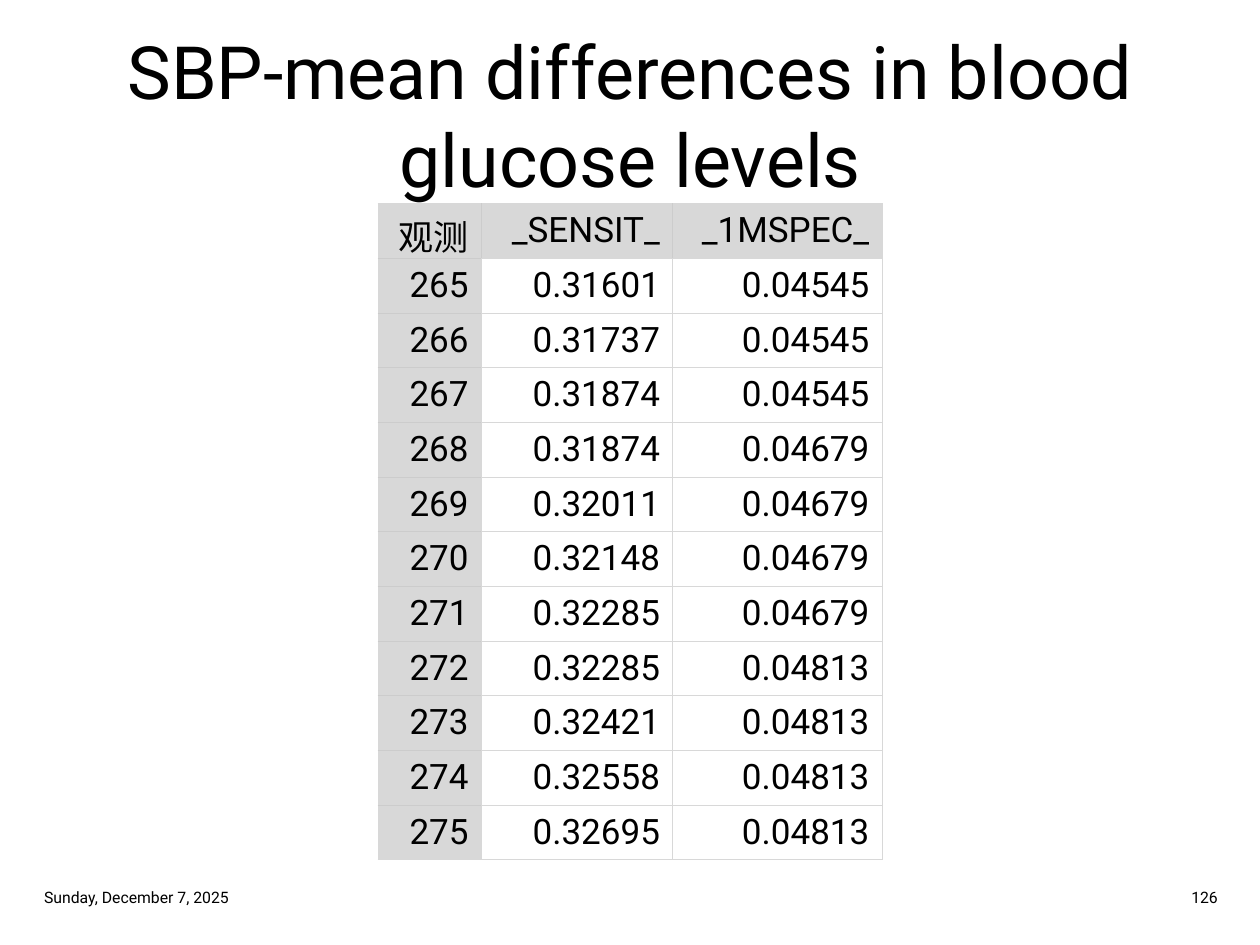
from lxml import etree
from pptx import Presentation
from pptx import util as u
from pptx.dml.color import RGBColor
from pptx.enum import text
from pptx.oxml.ns import qn

HUES = {"ink": "000000", "paper": "FFFFFF", "head": "D8D8D8", "rule": "CCCCCC"}
SIDES = ("L", "R", "T", "B")
WIDTHS = (2.08, 3.86, 4.22)
ROW = 1.07
HEADS = ("观测", "_SENSIT_", "_1MSPEC_")
FIRST = 265
SENSIT = ("0.31601", "0.31737", "0.31874", "0.31874", "0.32011", "0.32148",
          "0.32285", "0.32285", "0.32421", "0.32558", "0.32695")
SPEC = ("0.04545",) * 3 + ("0.04679",) * 4 + ("0.04813",) * 4


class Deck:
    """Holds the style and the current slide, and adds each kind of element."""

    def __init__(self, prs, font="Roboto"):
        self.font = font
        self.slide = prs.slides.add_slide(prs.slide_layouts[6])

    def hue(self, name):
        return RGBColor.from_string(HUES[name])

    def fill(self, frame, words, size, align):
        frame.text = words
        for para in frame.paragraphs:
            para.alignment = align
            for run in para.runs:
                for key, val in {"name": self.font, "size": u.Pt(size)}.items():
                    setattr(run.font, key, val)
                run.font.color.rgb = self.hue("ink")

    def label(self, box, words, size, align):
        frame = self.slide.shapes.add_textbox(*map(u.Cm, box)).text_frame
        form = {"word_wrap": True, "vertical_anchor": text.MSO_ANCHOR.MIDDLE}
        for key, val in form.items():
            setattr(frame, key, val)
        self.fill(frame, words, size, align)

    def edge(self, cell, hues):
        props = cell._tc.get_or_add_tcPr()
        for spot, (side, name) in enumerate(zip(SIDES, hues)):
            line = etree.Element(qn(f"a:ln{side}"), w=str(u.Pt(0.5)))
            paint = etree.SubElement(line, qn("a:solidFill"))
            etree.SubElement(paint, qn("a:srgbClr"), val=HUES[name])
            props.insert(spot, line)

    def table(self, left, top, widths, high, rows, size):
        count = len(rows)
        box = map(u.Cm, (left, top, sum(widths), high * count))
        grid = self.slide.shapes.add_table(count, len(widths), *box).table
        for col, wide in zip(grid.columns, widths):
            col.width = u.Cm(wide)
        for i, row in enumerate(rows):
            grid.rows[i].height = u.Cm(high)
            for j, words in enumerate(row):
                cell = grid.cell(i, j)
                shade = i == 0 or j == 0
                cell.fill.solid()
                cell.fill.fore_color.rgb = self.hue("head" if shade else "paper")
                outer = (j == 0, j == len(widths) - 1, i == 0, i == count - 1)
                self.edge(cell, ["rule" if shade and not out else "head"
                                 for out in outer])
                self.fill(cell.text_frame, words, size, text.PP_ALIGN.RIGHT)


def main():
    prs = Presentation()
    prs.slide_width, prs.slide_height = u.Cm(25.4), u.Cm(19.05)
    deck = Deck(prs)
    side = text.PP_ALIGN
    deck.label((0.64, 0.64, 24.13, 3.33),
               "SBP-mean differences in blood\vglucose levels", 42, side.CENTER)
    body = [(str(FIRST + i), *pair) for i, pair in enumerate(zip(SENSIT, SPEC))]
    deck.table(7.62, 4.11, WIDTHS, ROW, [HEADS, *body], 20)
    for left, words, align in ((0.64, "Sunday, December 7, 2025", side.LEFT),
                               (18.75, "126", side.RIGHT)):
        deck.label((left, 17.75, 6.05, 0.66), words, 9, align)
    prs.save("out.pptx")


if __name__ == "__main__":
    main()
